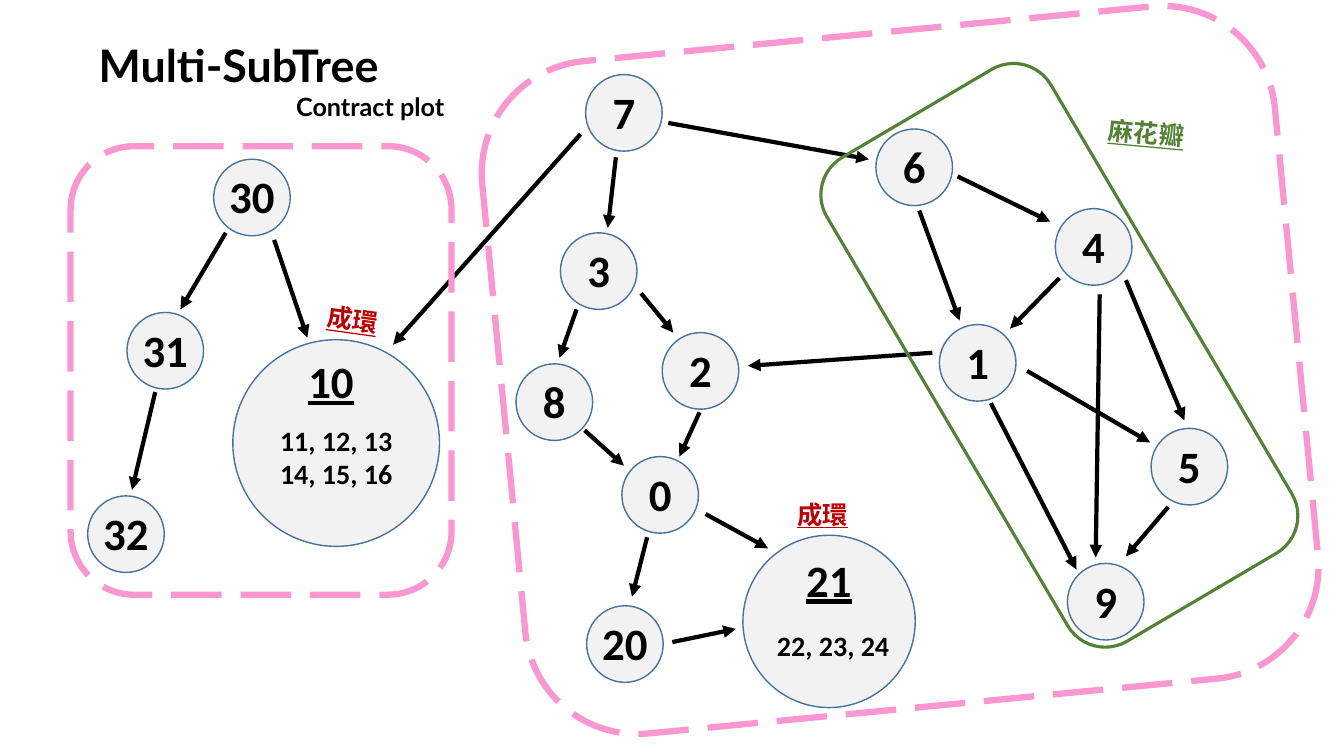
from lxml import etree
from pptx import Presentation
from pptx import util as u
from pptx.dml.color import RGBColor
from pptx.enum import dml, shapes, text
from pptx.oxml.ns import qn

COLS = 80  # square grid: 80 columns by 45 rows
SLIDE_W, SLIDE_H = u.Inches(13.333), u.Inches(7.5)
NODE_SIZE = 4.56
BLACK, GREEN, RED, PINK = "000000", "548235", "C00000", "FB97D0"
NODE_FILL, NODE_LINE = "F2F2F2", "43739E"
CJK = "Noto Sans CJK SC"

# label: centre column, centre row
NODES = {
    "7": (37.14, 6.72), "3": (35.64, 16.14), "8": (33, 23.94),
    "2": (41.7, 22.08), "0": (39.3, 29.46), "20": (37.2, 38.34),
    "6": (54.42, 9.96), "1": (58.2, 21.6), "4": (65.1, 14.7),
    "5": (70.8, 27.78), "9": (65.82, 35.82),
    "30": (15, 11.76), "31": (9.84, 20.88), "32": (7.5, 31.8),
}

# from column, from row, to column, to row
ARROWS = [
    (36.66, 9.36, 36.18, 13.56),    # 7 to 3
    (34.56, 7.98, 23.4, 20.52),     # 7 to 10
    (39.78, 7.32, 51.72, 9.48),     # 7 to 6
    (34.32, 18.42, 33.3, 21.3),     # 3 to 8
    (38.16, 17.46, 40.08, 19.8),    # 3 to 2
    (34.8, 25.62, 37.14, 27.72),    # 8 to 0
    (41.64, 24.54, 40.44, 27.18),   # 2 to 0
    (38.52, 31.98, 37.62, 35.52),   # 0 to 20
    (42, 30.6, 45.72, 32.64),       # 0 to 21
    (40.02, 38.22, 43.8, 37.44),    # 20 to 21
    (57, 10.5, 62.52, 13.2),        # 6 to 4
    (54.72, 12.54, 57.12, 19.08),   # 6 to 1
    (55.5, 21, 44.52, 21.78),       # 1 to 2
    (61.14, 22.08, 68.46, 26.34),   # 1 to 5
    (58.98, 24, 64.08, 33.9),       # 1 to 9
    (63.06, 16.56, 60.12, 19.56),   # 4 to 1
    (67.02, 16.68, 70.5, 25.02),    # 4 to 5
    (65.46, 17.52, 65.22, 33.18),   # 4 to 9
    (69.54, 30.18, 67.02, 33.12),   # 5 to 9
    (13.44, 13.86, 10.74, 18.42),   # 30 to 31
    (16.32, 14.28, 18.3, 20.1),     # 30 to 10
    (9.24, 23.34, 7.86, 29.16),     # 31 to 32
]


def cells(*counts):
    """Turn grid cells into slide lengths."""
    return [round(n * SLIDE_W / COLS) for n in counts]


def rgb(color):
    return RGBColor.from_string(color)


def write(tf, lines, size=32, font="Calibri", color=BLACK, underline=None,
          align=text.PP_ALIGN.LEFT):
    tf.word_wrap = False
    for i, line in enumerate(lines.split("\n")):
        p = tf.paragraphs[0] if i == 0 else tf.add_paragraph()
        p.alignment = align
        r = p.add_run()
        r.text = line
        f = r.font
        f.name, f.size, f.bold, f.underline = font, u.Pt(size), True, underline
        f.color.rgb = rgb(color)
        if font == CJK:
            etree.SubElement(r._r.get_or_add_rPr(), qn("a:ea"), typeface=font)


def add_label(s, lines, box, rotation=0, **fmt):
    sp = s.shapes.add_textbox(*cells(*box))
    sp.rotation = rotation
    write(sp.text_frame, lines, **fmt)


def add_circle(s, center, size):
    x, y = center
    sp = s.shapes.add_shape(shapes.MSO_SHAPE.OVAL,
                            *cells(x - size / 2, y - size / 2, size, size))
    sp.shadow.inherit = False
    sp.fill.solid()
    sp.fill.fore_color.rgb = rgb(NODE_FILL)
    sp.line.color.rgb = rgb(NODE_LINE)
    sp.line.width = u.Pt(1)
    return sp


def add_node(s, label, center):
    tf = add_circle(s, center, NODE_SIZE).text_frame
    tf.margin_left = tf.margin_right = tf.margin_top = 0
    tf.margin_bottom = u.Inches(0.03)
    tf.vertical_anchor = text.MSO_ANCHOR.MIDDLE
    write(tf, label, align=text.PP_ALIGN.CENTER)


def add_arrow(s, ends):
    c = s.shapes.add_connector(shapes.MSO_CONNECTOR.STRAIGHT, *cells(*ends))
    c.line.color.rgb = rgb(BLACK)
    c.line.width = u.Pt(3)
    etree.SubElement(c.line._get_or_add_ln(), qn("a:tailEnd"), type="triangle")
    etree.SubElement(c._element.spPr, qn("a:effectLst"))


def add_outline(s, box, color, width, rotation=0, dash=None):
    sp = s.shapes.add_shape(shapes.MSO_SHAPE.ROUNDED_RECTANGLE, *cells(*box))
    sp.shadow.inherit = False
    sp.rotation = rotation
    sp.fill.background()
    sp.line.color.rgb = rgb(color)
    sp.line.width = u.Pt(width)
    sp.line.dash_style = dash


def main():
    prs = Presentation()
    prs.slide_width, prs.slide_height = SLIDE_W, SLIDE_H
    s = prs.slides.add_slide(prs.slide_layouts[6])

    for label, center in NODES.items():
        add_node(s, label, center)
    for ends in ARROWS:
        add_arrow(s, ends)
    add_outline(s, (55.32, 4.44, 15.48, 33.42), GREEN, 2.25, rotation=-30.5)

    add_label(s, "Multi-SubTree", (5.28, 1.98, 18.42, 3.84), font="Lato")
    add_label(s, "Contract plot", (17.04, 5.16, 10.2, 2.4), size=18, font="Lato")

    add_circle(s, (20.01, 26.37), 12.3)
    add_label(s, "10", (17.76, 20.76, 5.52, 3.84), underline=True)
    add_label(s, "11, 12, 13\n14, 15, 16", (16.08, 24.9, 7.98, 4.62), size=20)
    add_circle(s, (49.35, 36.99), 10.26)
    add_label(s, "21", (47.4, 32.58, 5.52, 3.84), underline=True)
    add_label(s, "22, 23, 24", (45.66, 37.14, 7.98, 2.64), size=20)

    for words, box, rotation, color in [
        ("麻花瓣", (65.4, 6.72, 5.76, 2.4), 5.3, GREEN),
        ("成環", (46.86, 29.4, 4.26, 2.4), 0, RED),
        ("成環", (18.9, 17.82, 4.26, 2.4), 8, RED),
    ]:
        add_label(s, words, box, rotation, size=18, font=CJK, color=color,
                  underline=True)

    for box, rotation in [((4.2, 8.7, 22.68, 26.7), 0),
                          ((29.88, 1.92, 47.4, 40.2), -5.5)]:
        add_outline(s, box, PINK, 4.5, rotation, dml.MSO_LINE.LONG_DASH)

    prs.save("out.pptx")


if __name__ == "__main__":
    main()
